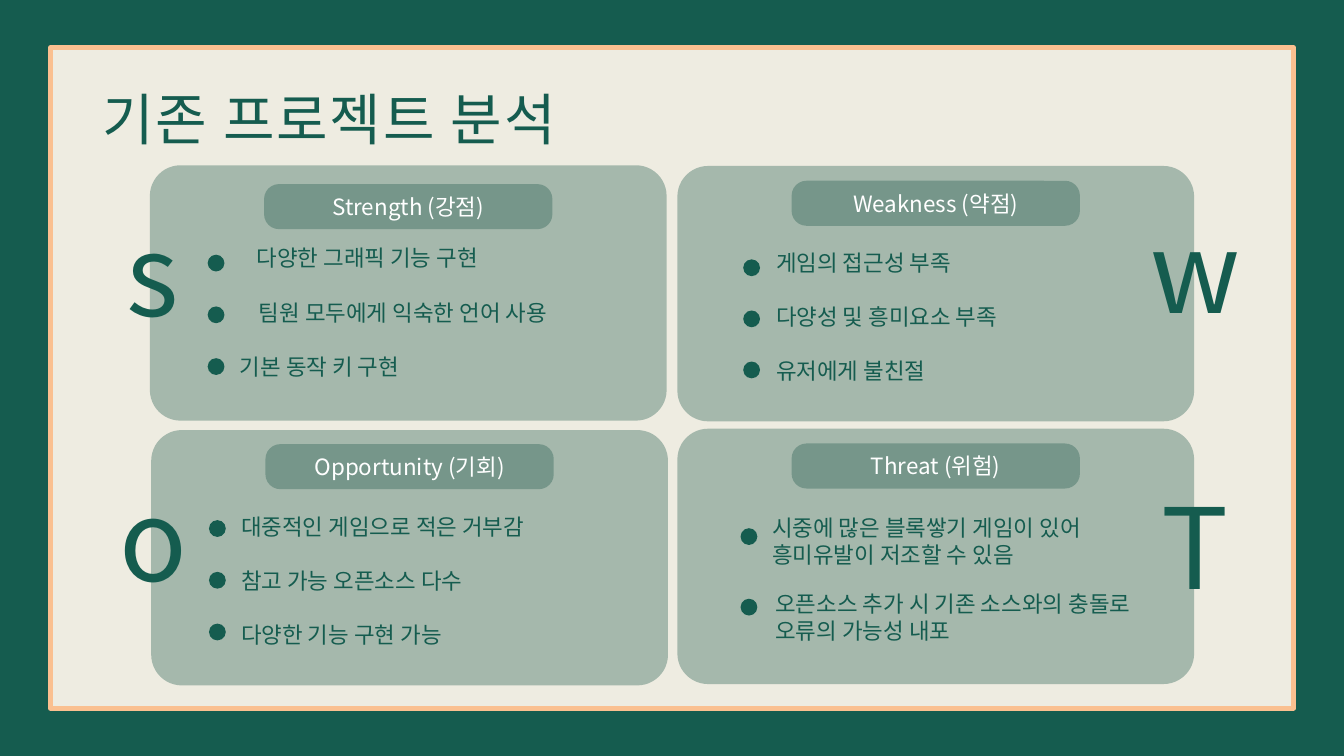
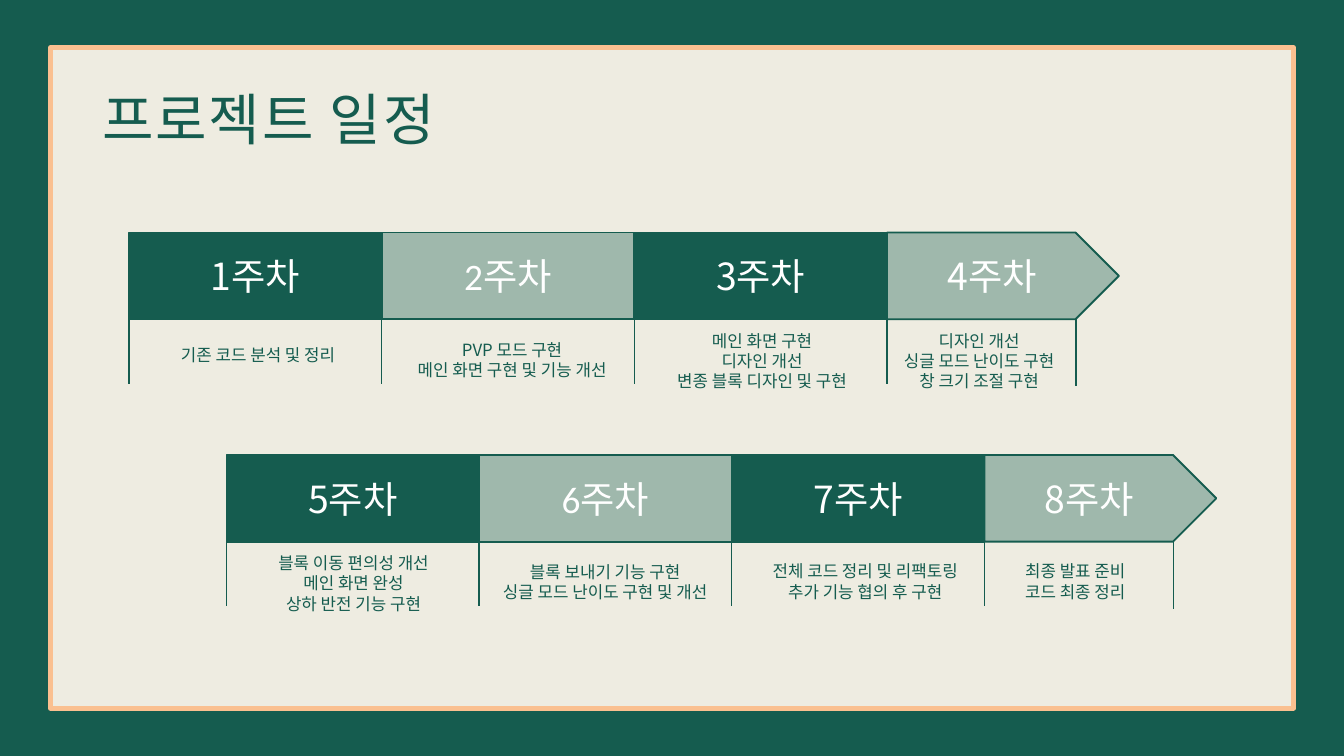
"""Build a SWOT slide and an eight-week schedule slide."""
import dataclasses

import lxml.etree
import pptx
import pptx.dml.color
import pptx.enum.shapes
import pptx.enum.text
import pptx.oxml.ns
import pptx.util

Inches = pptx.util.Inches
Shape = pptx.enum.shapes.MSO_SHAPE
Align = pptx.enum.text.PP_ALIGN
Anchor = pptx.enum.text.MSO_ANCHOR
AutoSize = pptx.enum.text.MSO_AUTO_SIZE
qn = pptx.oxml.ns.qn

GREEN = pptx.dml.color.RGBColor(0x15, 0x5C, 0x4F)
PANEL_GREEN = pptx.dml.color.RGBColor(0x24, 0x5C, 0x4F)
CREAM = pptx.dml.color.RGBColor(0xEE, 0xEC, 0xE1)
PEACH = pptx.dml.color.RGBColor(0xFA, 0xC0, 0x90)
WHITE = pptx.dml.color.RGBColor(0xFF, 0xFF, 0xFF)
FONT = "Noto Sans CJK KR"
LABEL_FONT = "Calibri"
TINT = 36


@dataclasses.dataclass
class Panel:
    """One SWOT quarter; offsets are measured from its top left corner."""
    left: float
    top: float
    label: str
    label_top: float
    letter: str
    letter_at: tuple
    dot_at: tuple
    dot_gap: float
    item_top: float
    item_gap: float
    items: list


PANELS = [
    Panel(2.23, 2.46, "Strength (강점)", 0.28, "s", (-1.25, 0.54), (0.86, 1.33), 0.77, 1.13, 0.81,
          [(1.2, 4.07, "다양한 그래픽 기능 구현", Align.CENTER),
           (0.91, 5.71, "팀원 모두에게 익숙한 언어 사용", Align.CENTER),
           (1.24, 6.14, "기본 동작 키 구현", Align.LEFT)]),
    Panel(2.25, 6.4, "Opportunity (기회)", 0.21, "o", (-1.25, 0.54), (0.86, 1.34), 0.77, 1.19, 0.8,
          [(1.24, 6.3, "대중적인 게임으로 적은 거부감", Align.LEFT),
           (1.24, 6.14, "참고 가능 오픈소스 다수", Align.LEFT),
           (1.24, 6.14, "다양한 기능 구현 가능", Align.LEFT)]),
    Panel(10.08, 2.47, "Weakness (약점)", 0.22, "w", (6.42, 0.48), (0.98, 1.39), 0.76, 1.19, 0.8,
          [(1.37, 6.3, "게임의 접근성 부족", Align.LEFT),
           (1.37, 6.3, "다양성 및 흥미요소 부족", Align.LEFT),
           (1.37, 6.14, "유저에게 불친절", Align.LEFT)]),
    Panel(10.08, 6.38, "Threat (위험)", 0.22, "T", (6.41, 0.68), (0.94, 1.48), 1.05, 1.22, 1.13,
          [(1.31, 6.3, "시중에 많은 블록쌓기 게임이 있어 흥미유발이 저조할 수 있음", Align.LEFT),
           (1.36, 6.14, "오픈소스 추가 시 기존 소스와의 충돌로 오류의 가능성 내포", Align.LEFT)]),
]

WEEK_ROWS = [
    (1.92, 3.46, [
        (0.46, 1.62, 2.92, ["기존 코드 분석 및 정리"]),
        (4.19, 1.54, 3.02, ["PVP 모드 구현", "메인 화면 구현 및 기능 개선"]),
        (7.96, 1.41, 2.92, ["메인 화면 구현", "디자인 개선", "변종 블록 디자인 및 구현"]),
        (11.19, 1.41, 2.92, ["디자인 개선", "싱글 모드 난이도 구현", "창 크기 조절 구현"])]),
    (3.37, 6.77, [
        (0.43, 1.41, 2.92, ["블록 이동 편의성 개선", "메인 화면 완성", "상하 반전 기능 구현"]),
        (3.96, 1.54, 3.35, ["블록 보내기 기능 구현", "싱글 모드 난이도 구현 및 개선"]),
        (7.89, 1.53, 3.23, ["전체 코드 정리 및 리팩토링", "추가 기능 협의 후 구현"]),
        (11.17, 1.53, 2.92, ["최종 발표 준비", "코드 최종 정리"])]),
]
WEEK_WIDTH, LAST_WEEK_WIDTH, WEEK_HEIGHT = 3.76, 3.45, 1.29


def write_text(frame, lines, size=24, color=GREEN, font=FONT, align=Align.LEFT,
               anchor=Anchor.TOP, spacing=0, grow=True):
    """Fill a text frame with one formatted paragraph per line."""
    frame.word_wrap = True
    frame.auto_size = AutoSize.SHAPE_TO_FIT_TEXT if grow else AutoSize.NONE
    frame.vertical_anchor = anchor
    for index, line in enumerate(lines):
        para = frame.add_paragraph() if index else frame.paragraphs[0]
        para.alignment = align
        span = para.add_run()
        span.text = line
        span.font.size = pptx.util.Pt(size)
        span.font.name = font
        span.font.color.rgb = color
        properties = span.font._element
        properties.find(qn("a:latin")).addnext(
            lxml.etree.Element(qn("a:ea"), typeface=FONT))
        if spacing:
            properties.set("spc", str(spacing * 100))


class Designer:
    """Hold the deck style and draw on the current slide."""

    def __init__(self):
        """Open a widescreen deck with a green background."""
        self.deck = pptx.Presentation()
        self.deck.slide_width = Inches(20)
        self.deck.slide_height = Inches(11.25)
        background = self.deck.slide_master.background.fill
        background.solid()
        background.fore_color.rgb = GREEN
        self.page = None

    def start_page(self, heading):
        """Add a framed slide with its title."""
        self.page = self.deck.slides.add_slide(self.deck.slide_layouts[5])
        frame = self.shape(Shape.RECTANGLE, 0.75, 0.71, 18.5, 9.83, CREAM, line=(PEACH, 5))
        title = self.page.shapes.title
        title._element.addprevious(frame._element)
        title.left, title.top = Inches(1.42), Inches(1.21)
        title.width, title.height = Inches(12.13), Inches(1.11)
        write_text(title.text_frame, [heading], size=60, anchor=Anchor.MIDDLE, spacing=2)

    def shape(self, kind, left, top, width, height, fill, opacity=100, line=None, corner=None):
        """Draw a flat preset shape."""
        shape = self.page.shapes.add_shape(
            kind, Inches(left), Inches(top), Inches(width), Inches(height))
        shape.shadow.inherit = False
        shape.fill.solid()
        shape.fill.fore_color.rgb = fill
        if opacity < 100:
            color = shape._element.spPr.find(qn("a:solidFill"))[0]
            lxml.etree.SubElement(color, qn("a:alpha"), val=str(opacity * 1000))
        if line:
            shape.line.color.rgb = line[0]
            shape.line.width = pptx.util.Pt(line[1])
        else:
            shape.line.fill.background()
        if corner is not None:
            shape.adjustments[0] = corner
        return shape

    def text(self, left, top, width, height, lines, **style):
        """Place a text box."""
        box = self.page.shapes.add_textbox(
            Inches(left), Inches(top), Inches(width), Inches(height))
        write_text(box.text_frame, lines, **style)

    def rule(self, left, top, length):
        """Draw a thin vertical line."""
        line = self.page.shapes.add_connector(
            pptx.enum.shapes.MSO_CONNECTOR.STRAIGHT,
            Inches(left), Inches(top), Inches(left), Inches(top + length))
        line.line.color.rgb = GREEN
        line.line.width = pptx.util.Pt(1.5)
        lxml.etree.SubElement(line._element.spPr, qn("a:effectLst"))

    def panel(self, panel):
        """Draw one SWOT panel with its label, letter and points."""
        left, top = panel.left, panel.top
        self.shape(Shape.ROUNDED_RECTANGLE, left, top, 7.69, 3.8, PANEL_GREEN, TINT, corner=0.12)
        letter_left, letter_top = panel.letter_at
        self.text(left + letter_left, top + letter_top, 2.58, 2.12, [panel.letter],
                  size=120, align=Align.CENTER)
        label = self.shape(Shape.ROUNDED_RECTANGLE, left + 1.7, top + panel.label_top,
                           4.29, 0.67, PANEL_GREEN, TINT, corner=0.33)
        write_text(label.text_frame, [panel.label], color=WHITE, align=Align.CENTER,
                   anchor=Anchor.MIDDLE, grow=False)
        dot_left, dot_top = panel.dot_at
        for index, (item_left, width, words, align) in enumerate(panel.items):
            self.shape(Shape.OVAL, left + dot_left, top + dot_top + index * panel.dot_gap,
                       0.25, 0.25, GREEN)
            self.text(left + item_left, top + panel.item_top + index * panel.item_gap,
                      width, 0.5, [words], align=align)

    def week_row(self, left, top, first_week, tasks):
        """Draw a row of week blocks ending in an arrow, with tasks below."""
        last = len(tasks) - 1
        for index, (task_left, task_top, task_width, lines) in enumerate(tasks):
            is_last, is_tinted = index == last, index % 2 == 1
            block_left = left + index * WEEK_WIDTH
            block = self.shape(Shape.PENTAGON if is_last else Shape.RECTANGLE, block_left, top,
                               LAST_WEEK_WIDTH if is_last else WEEK_WIDTH, WEEK_HEIGHT,
                               GREEN, TINT if is_tinted else 100, line=(GREEN, 2))
            write_text(block.text_frame, [f"{first_week + index}주차"], size=40, color=WHITE,
                       font=LABEL_FONT if index == 1 else FONT, align=Align.CENTER,
                       anchor=Anchor.MIDDLE, grow=False)
            self.text(left + task_left, top + task_top, task_width, 0.1 + 0.3 * len(lines),
                      lines, size=18, align=Align.CENTER)
        for index in range(len(tasks)):
            self.rule(left + index * WEEK_WIDTH, top + 1, 1.25)
        self.rule(left + 14.09, top + WEEK_HEIGHT, 1)


def main():
    """Build and save the deck."""
    designer = Designer()
    designer.start_page("기존 프로젝트 분석")
    for panel in PANELS:
        designer.panel(panel)
    designer.start_page("프로젝트 일정")
    first_week = 1
    for left, top, tasks in WEEK_ROWS:
        designer.week_row(left, top, first_week, tasks)
        first_week += len(tasks)
    designer.deck.save("out.pptx")


if __name__ == "__main__":
    main()
